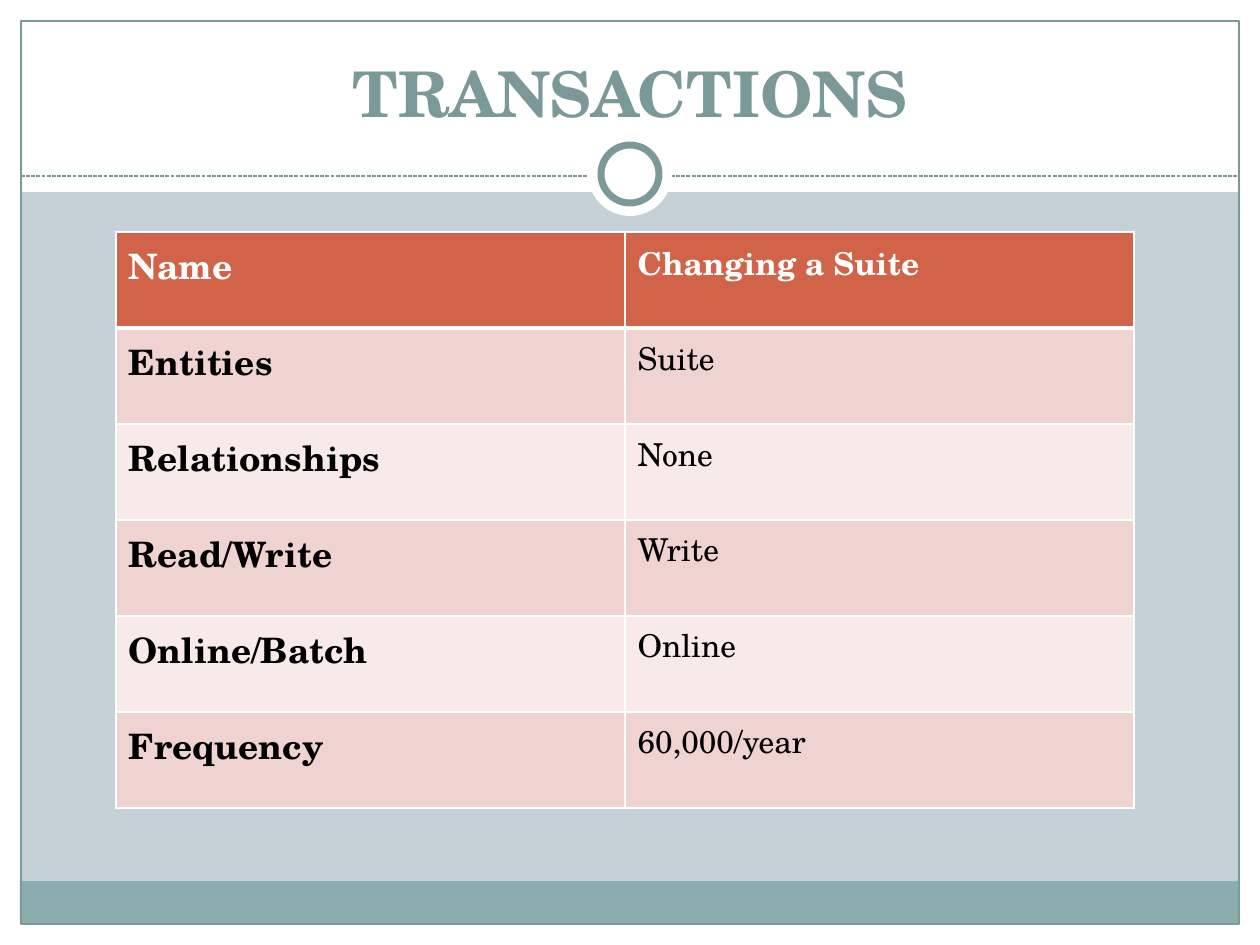
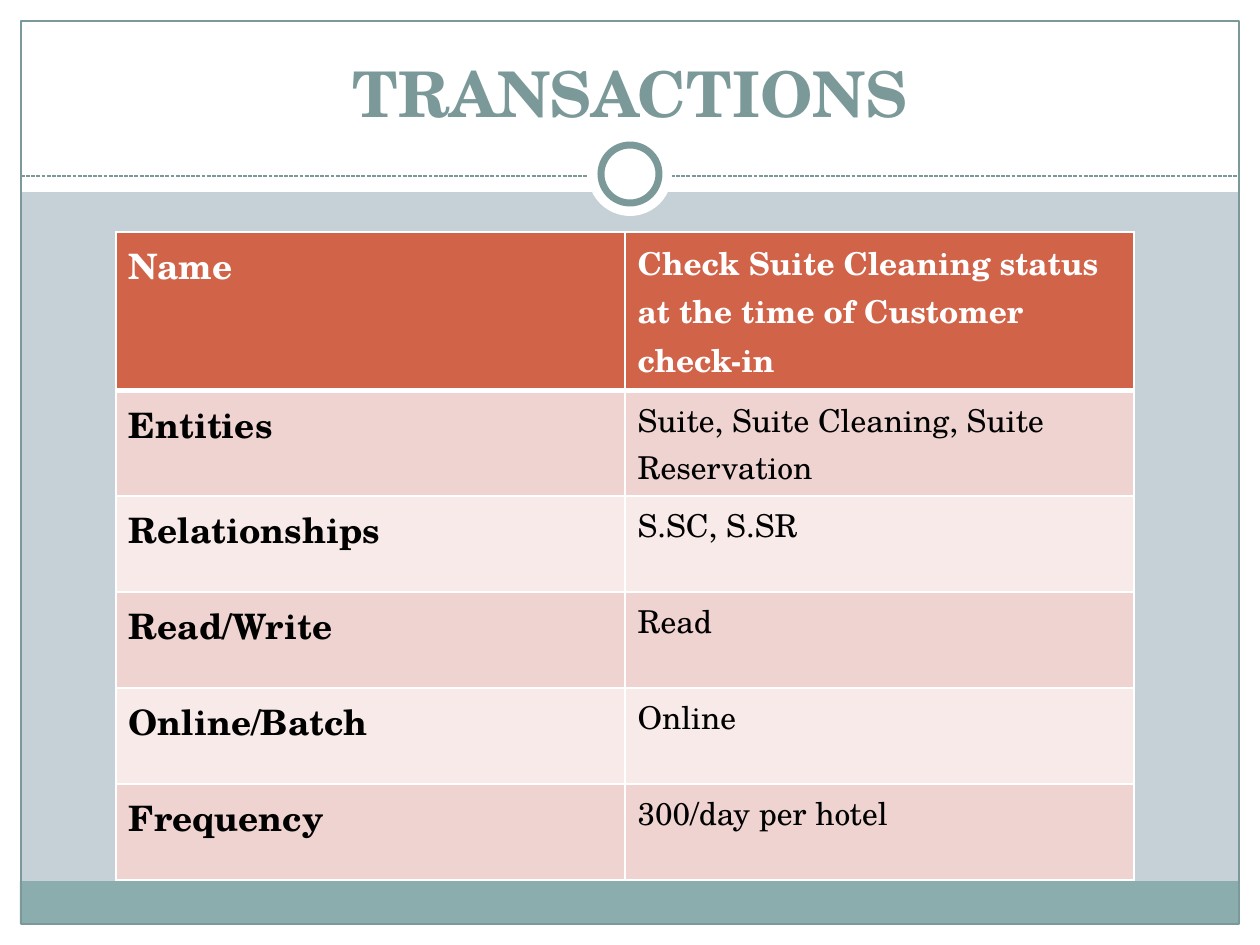
"""Build two slides that describe hotel database transactions in tables."""
from dataclasses import dataclass

from lxml import etree
from pptx import Presentation
from pptx import util as u
from pptx.dml.color import RGBColor
from pptx.enum import dml, shapes, text
from pptx.oxml.ns import qn

PX_PER_INCH = 126
FONT = "TeX Gyre Schola"
COLOURS = {
    "background": "C5D1D7",
    "white": "FFFFFF",
    "black": "000000",
    "accent": "7C999A",
    "footer": "8CADAE",
    "header": "D16349",
    "odd_row": "EED3D0",
    "even_row": "F7EAE9",
}
FIELDS = ("Name", "Entities", "Relationships", "Read/Write", "Online/Batch", "Frequency")
SLIDE_WIDTH, SLIDE_HEIGHT = 1260, 945
MARGIN = 21
TABLE_LEFT, TABLE_TOP = 116, 232
COLUMN_WIDTH, ROW_HEIGHT = 509, 96


@dataclass(frozen=True)
class FramePart:
    left: int
    top: int
    width: int
    height: int
    fill: str | None = None
    line: str | None = None
    line_points: float = 0.75
    kind: shapes.MSO_SHAPE = shapes.MSO_SHAPE.RECTANGLE


@dataclass(frozen=True)
class Transaction:
    values: tuple[str, ...]


FRAME_BANDS = (
    FramePart(0, SLIDE_HEIGHT - MARGIN, SLIDE_WIDTH, MARGIN, "white"),
    FramePart(0, 0, SLIDE_WIDTH, 192, "white"),
    FramePart(0, 0, MARGIN, SLIDE_HEIGHT, "white"),
    FramePart(SLIDE_WIDTH - MARGIN, 0, MARGIN, SLIDE_HEIGHT, "white"),
    FramePart(20, 881, 1218, 43, "footer"),
    FramePart(MARGIN, MARGIN, SLIDE_WIDTH - 2 * MARGIN, SLIDE_HEIGHT - 2 * MARGIN, line="accent"),
)
RING_PARTS = (
    FramePart(588, 132, 84, 84, "white", kind=shapes.MSO_SHAPE.OVAL),
    FramePart(601, 145, 58, 58, "white", "accent", 4, shapes.MSO_SHAPE.OVAL),
)
TRANSACTIONS = (
    Transaction(("Changing a Suite", "Suite", "None", "Write", "Online", "60,000/year")),
    Transaction((
        "Check Suite Cleaning status at the time of Customer check-in",
        "Suite, Suite Cleaning, Suite Reservation",
        "S.SC, S.SR",
        "Read",
        "Online",
        "300/day per hotel",
    )),
)


def px(length: int) -> u.Emu:
    return u.Emu(round(length * 914400 / PX_PER_INCH))


def colour(name: str) -> RGBColor:
    return RGBColor.from_string(COLOURS[name])


def set_font(paragraph, points: int, colour_name: str, bold: bool) -> None:
    font = paragraph.font
    font.name = FONT
    font.size = u.Pt(points)
    font.bold = bold
    font.color.rgb = colour(colour_name)


def draw_part(slide, part: FramePart) -> None:
    shape = slide.shapes.add_shape(
        part.kind, px(part.left), px(part.top), px(part.width), px(part.height))
    shape.shadow.inherit = False
    if part.fill:
        shape.fill.solid()
        shape.fill.fore_color.rgb = colour(part.fill)
    else:
        shape.fill.background()
    if part.line:
        shape.line.color.rgb = colour(part.line)
        shape.line.width = u.Pt(part.line_points)
    else:
        shape.line.fill.background()


def draw_frame(slide) -> None:
    for band in FRAME_BANDS:
        draw_part(slide, band)
    divider = slide.shapes.add_connector(
        shapes.MSO_CONNECTOR.STRAIGHT, px(MARGIN), px(176), px(SLIDE_WIDTH - MARGIN), px(176))
    divider.line.color.rgb = colour("accent")
    divider.line.width = u.Pt(0.75)
    divider.line.dash_style = dml.MSO_LINE.SQUARE_DOT
    etree.SubElement(divider.element.spPr, qn("a:effectLst"))
    for ring in RING_PARTS:
        draw_part(slide, ring)


def write_title(slide, title_text: str) -> None:
    title = slide.shapes.title
    slide.shapes.element.append(title.element)
    title.left, title.top, title.width, title.height = px(42), px(32), px(1176), px(104)
    frame = title.text_frame
    frame.text = title_text
    frame.word_wrap = True
    frame.auto_size = text.MSO_AUTO_SIZE.NONE
    frame.vertical_anchor = text.MSO_ANCHOR.BOTTOM
    paragraph = frame.paragraphs[0]
    paragraph.alignment = text.PP_ALIGN.CENTER
    set_font(paragraph, 36, "accent", True)


def set_borders(cell, top_points: int, bottom_points: int) -> None:
    properties = cell._tc.get_or_add_tcPr()
    widths = {"lnL": 1, "lnR": 1, "lnT": top_points, "lnB": bottom_points}
    for side, points in widths.items():
        border = etree.SubElement(properties, qn(f"a:{side}"), w=str(u.Pt(points)))
        fill = etree.SubElement(border, qn("a:solidFill"))
        etree.SubElement(fill, qn("a:srgbClr"), val=COLOURS["white"])


def draw_table(slide, transaction: Transaction) -> None:
    table = slide.shapes.add_table(
        len(FIELDS), 2, px(TABLE_LEFT), px(TABLE_TOP),
        px(2 * COLUMN_WIDTH), px(len(FIELDS) * ROW_HEIGHT)).table
    for row, pair in enumerate(zip(FIELDS, transaction.values)):
        is_header = row == 0
        fill_name = "header" if is_header else "odd_row" if row % 2 else "even_row"
        for column, content in enumerate(pair):
            is_label = column == 0
            cell = table.cell(row, column)
            set_borders(cell, 3 if row == 1 else 1, 3 if is_header else 1)
            cell.fill.solid()
            cell.fill.fore_color.rgb = colour(fill_name)
            cell.text = content
            set_font(
                cell.text_frame.paragraphs[0], 20 if is_label else 18,
                "white" if is_header else "black", is_header or is_label)


def main() -> None:
    presentation = Presentation()
    presentation.slide_width, presentation.slide_height = px(SLIDE_WIDTH), px(SLIDE_HEIGHT)
    background = presentation.slide_master.background.fill
    background.solid()
    background.fore_color.rgb = colour("background")
    for transaction in TRANSACTIONS:
        slide = presentation.slides.add_slide(presentation.slide_layouts[5])
        draw_frame(slide)
        write_title(slide, "TRANSACTIONS")
        draw_table(slide, transaction)
    presentation.save("out.pptx")


if __name__ == "__main__":
    main()
